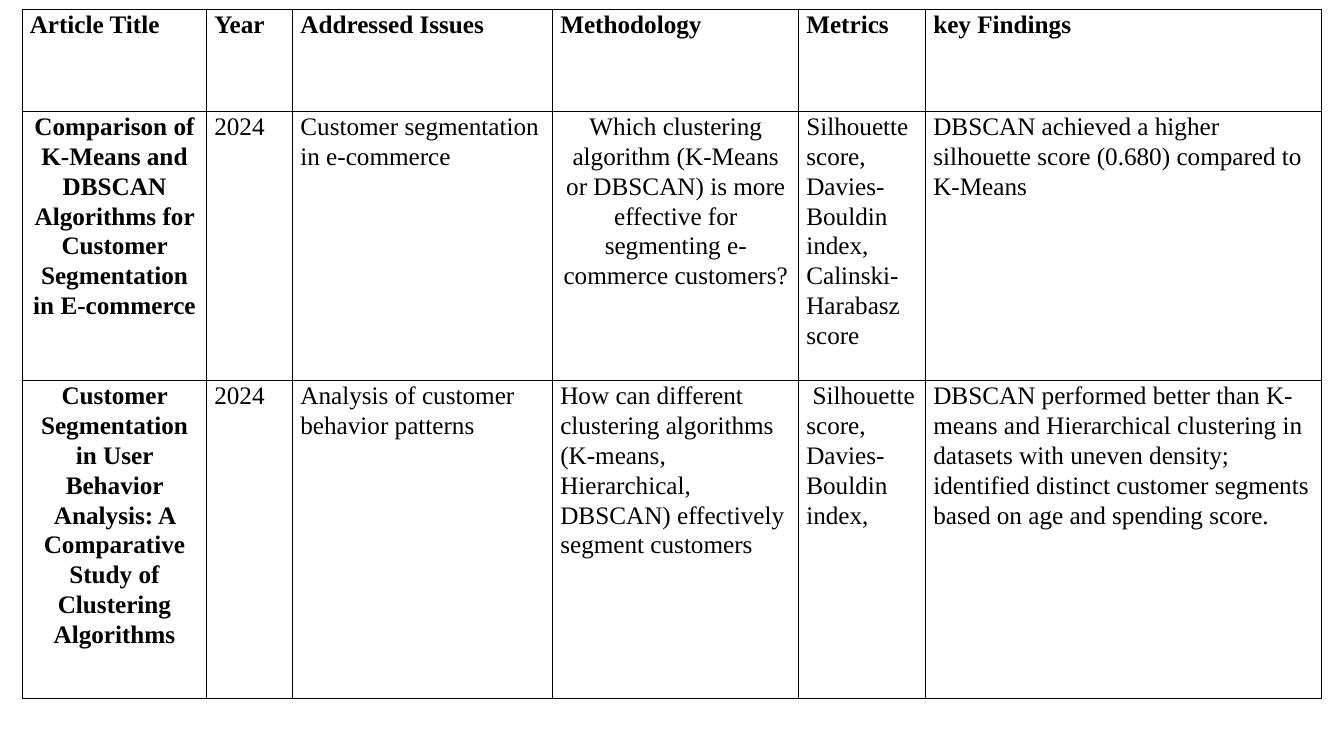
from lxml import etree
from pptx import Presentation
from pptx import util as u
from pptx.dml.color import RGBColor
from pptx.enum import text
from pptx.oxml import ns

COLORS = {"ink": "000000", "paper": "FFFFFF"}
FONT = "Times New Roman"
COLUMN_WIDTHS = [4.65, 2.17, 6.55, 6.2, 3.2, 9.98]
ROW_HEIGHTS = [2.57, 6.78, 8.02]
ARTICLES = [
    ["Article Title", "Year", "Addressed Issues", "Methodology", "Metrics", "key Findings"],
    [
        "Comparison of K-Means and DBSCAN Algorithms for Customer Segmentation in E-commerce",
        "2024",
        "Customer segmentation in e-commerce",
        "Which clustering algorithm (K-Means or DBSCAN) is more effective for "
        "segmenting e-commerce customers?",
        "Silhouette score, Davies-Bouldin index, Calinski-Harabasz score",
        "DBSCAN achieved a higher silhouette score (0.680) compared to K-Means",
    ],
    [
        "Customer Segmentation in User Behavior Analysis: A Comparative Study of "
        "Clustering Algorithms",
        "2024",
        "Analysis of customer behavior patterns",
        "How can different clustering algorithms (K-means, Hierarchical, DBSCAN) "
        "effectively segment customers",
        "Silhouette score, Davies-Bouldin index,",
        "DBSCAN performed better than K-means and Hierarchical clustering in datasets "
        "with uneven density; identified distinct customer segments based on age and "
        "spending score.",
    ],
]
CENTERED = {(1, 0), (1, 3), (2, 0)}
INDENTED = {(2, 4)}


def color(name):
    return RGBColor.from_string(COLORS[name])


def write(frame, wording, *, size=18, bold=False, centered=False, indent=0):
    paragraph = frame.paragraphs[0]
    paragraph.line_spacing = 1.07
    paragraph.alignment = text.PP_ALIGN.CENTER if centered else text.PP_ALIGN.LEFT
    if indent:
        paragraph._p.get_or_add_pPr().set("indent", str(u.Cm(indent)))
    run = paragraph.add_run()
    run.text = wording
    run.font.name = FONT
    run.font.size = u.Pt(size)
    run.font.bold = bold
    run.font.color.rgb = color("ink")


def add_borders(cell, width=1):
    properties = cell._tc.get_or_add_tcPr()
    for position, side in enumerate(("lnL", "lnR", "lnT", "lnB")):
        border = etree.Element(ns.qn(f"a:{side}"), w=str(u.Pt(width)))
        fill = etree.SubElement(border, ns.qn("a:solidFill"))
        etree.SubElement(fill, ns.qn("a:srgbClr"), val=COLORS["ink"])
        properties.insert(position, border)


def format_cell(cell):
    cell.margin_left = cell.margin_right = u.Cm(0.19)
    cell.margin_top = cell.margin_bottom = 0
    cell.vertical_anchor = text.MSO_ANCHOR.TOP
    cell.fill.solid()
    cell.fill.fore_color.rgb = color("paper")
    add_borders(cell)


def add_review_table(slide):
    review = slide.shapes.add_table(
        len(ROW_HEIGHTS), len(COLUMN_WIDTHS), u.Cm(0.56), u.Cm(0.23),
        u.Cm(sum(COLUMN_WIDTHS)), u.Cm(sum(ROW_HEIGHTS)),
    ).table
    review.horz_banding = False
    for column, width in zip(review.columns, COLUMN_WIDTHS):
        column.width = u.Cm(width)
    for row, height in zip(review.rows, ROW_HEIGHTS):
        row.height = u.Cm(height)
    for r, article in enumerate(ARTICLES):
        for c, wording in enumerate(article):
            cell = review.cell(r, c)
            format_cell(cell)
            write(
                cell.text_frame, wording,
                bold=r == 0 or c == 0,
                centered=(r, c) in CENTERED,
                indent=0.16 if (r, c) in INDENTED else 0,
            )


def main():
    deck = Presentation()
    deck.slide_width = u.Cm(33.87)
    deck.slide_height = u.Cm(19.05)
    slide = deck.slides.add_slide(deck.slide_layouts[6])
    add_review_table(slide)
    deck.save("out.pptx")


if __name__ == "__main__":
    main()
